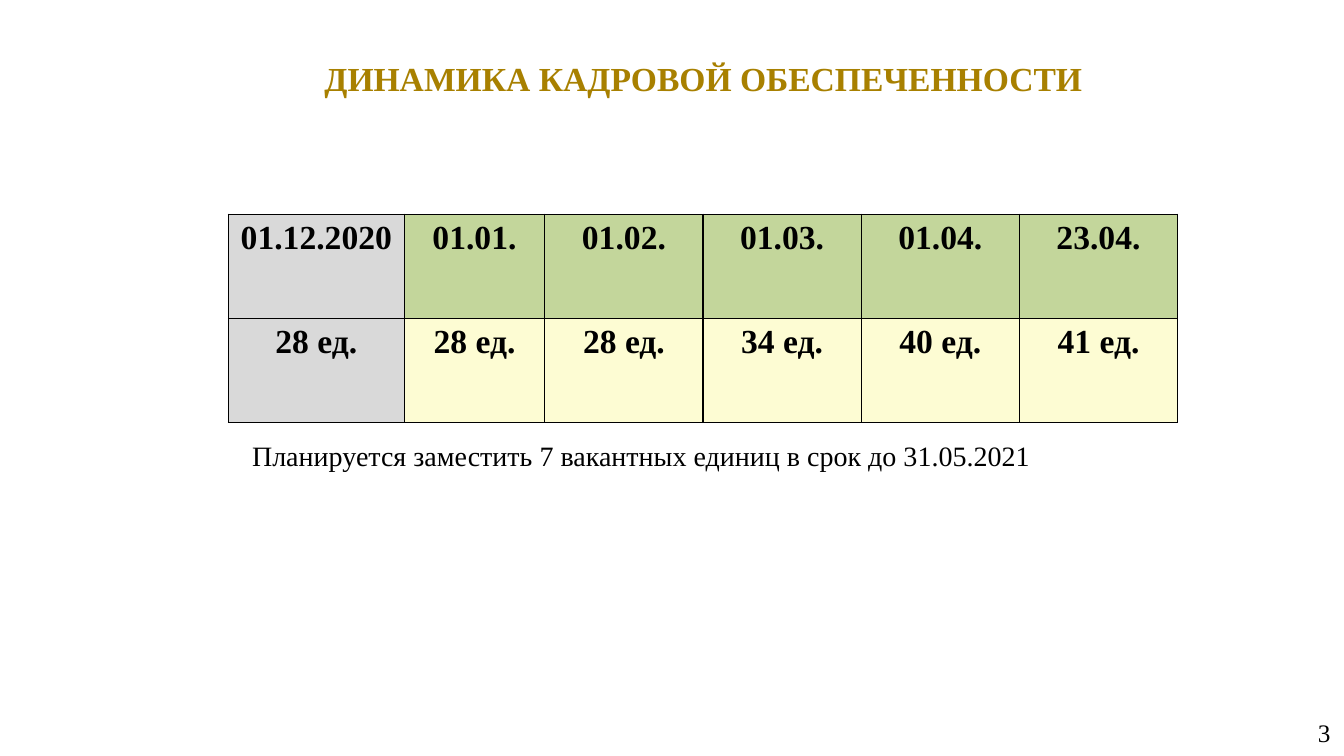
from lxml import etree
from pptx import Presentation
from pptx.dml.color import RGBColor
from pptx.enum.text import MSO_ANCHOR as Anchor, PP_ALIGN as Align
from pptx.oxml.ns import qn
from pptx.util import Pt

GOLD = RGBColor(0xA8, 0x80, 0x00)
BLACK = RGBColor(0x00, 0x00, 0x00)
GREY = RGBColor(0xD9, 0xD9, 0xD9)
GREEN = RGBColor(0xC3, 0xD6, 0x9B)
CREAM = RGBColor(0xFD, 0xFC, 0xD3)

STAFFING = [
    ("01.12.2020", "28 ед."),
    ("01.01.", "28 ед."),
    ("01.02.", "28 ед."),
    ("01.03.", "34 ед."),
    ("01.04.", "40 ед."),
    ("23.04.", "41 ед."),
]
COLUMN_WIDTHS = [125.5, 100.5] + [113] * 4
ROW_HEIGHT = 74.5


class StaffingSlide:
    font_name = "Times New Roman"
    border_width = 0.96

    def __init__(self, deck):
        self.slide = deck.slides.add_slide(deck.slide_layouts[5])

    def set_text(self, frame, text, size, color=BLACK, bold=False, align=Align.CENTER):
        frame.text = text
        paragraph = frame.paragraphs[0]
        paragraph.alignment = align
        for run in paragraph.runs:
            run.font.name = self.font_name
            run.font.size = Pt(size)
            run.font.bold = bold
            run.font.color.rgb = color

    def set_frame(self, frame, anchor):
        frame.word_wrap = True
        frame.vertical_anchor = anchor
        frame.margin_left = frame.margin_right = Pt(9.6)
        frame.margin_top = frame.margin_bottom = Pt(4.8)

    def title(self, text, left, top, width, height):
        heading = self.slide.shapes.title
        heading.left, heading.top = Pt(left), Pt(top)
        heading.width, heading.height = Pt(width), Pt(height)
        self.set_frame(heading.text_frame, Anchor.TOP)
        self.set_text(heading.text_frame, text, 24, GOLD, bold=True)

    def text(self, text, left, top, width, height, size, align=Align.CENTER):
        box = self.slide.shapes.add_textbox(Pt(left), Pt(top), Pt(width), Pt(height))
        self.set_frame(box.text_frame, Anchor.MIDDLE)
        self.set_text(box.text_frame, text, size, align=align)

    def outline(self, cell):
        """Draw a thin black line on all four sides of the cell."""
        properties = cell._tc.get_or_add_tcPr()
        for side in ("a:lnL", "a:lnR", "a:lnT", "a:lnB"):
            line = etree.SubElement(properties, qn(side), w=str(Pt(self.border_width)))
            fill = etree.SubElement(line, qn("a:solidFill"))
            etree.SubElement(fill, qn("a:srgbClr"), val=str(BLACK))

    def table(self, columns, widths, row_height, left, top):
        rows = list(zip(*columns))
        table = self.slide.shapes.add_table(
            len(rows), len(columns), Pt(left), Pt(top),
            Pt(sum(widths)), Pt(row_height * len(rows))).table
        for column, width in zip(table.columns, widths):
            column.width = Pt(width)
        for r, (values, row_color) in enumerate(zip(rows, (GREEN, CREAM))):
            for c, value in enumerate(values):
                cell = table.cell(r, c)
                self.outline(cell)
                cell.fill.solid()
                cell.fill.fore_color.rgb = row_color if c else GREY
                self.set_text(cell.text_frame, value, 24, bold=True)


def main():
    deck = Presentation()
    deck.slide_width, deck.slide_height = Pt(960), Pt(540)
    page = StaffingSlide(deck)
    page.title("ДИНАМИКА КАДРОВОЙ ОБЕСПЕЧЕННОСТИ", 119, 36.5, 767, 38.5)
    page.table(STAFFING, COLUMN_WIDTHS, ROW_HEIGHT, 163.2, 153)
    page.text("Планируется заместить 7 вакантных единиц в срок до 31.05.2021",
              45, 298, 826, 55, 20)
    page.text("3", 736, 509, 224, 29, 18, Align.RIGHT)
    deck.save("out.pptx")


if __name__ == "__main__":
    main()
